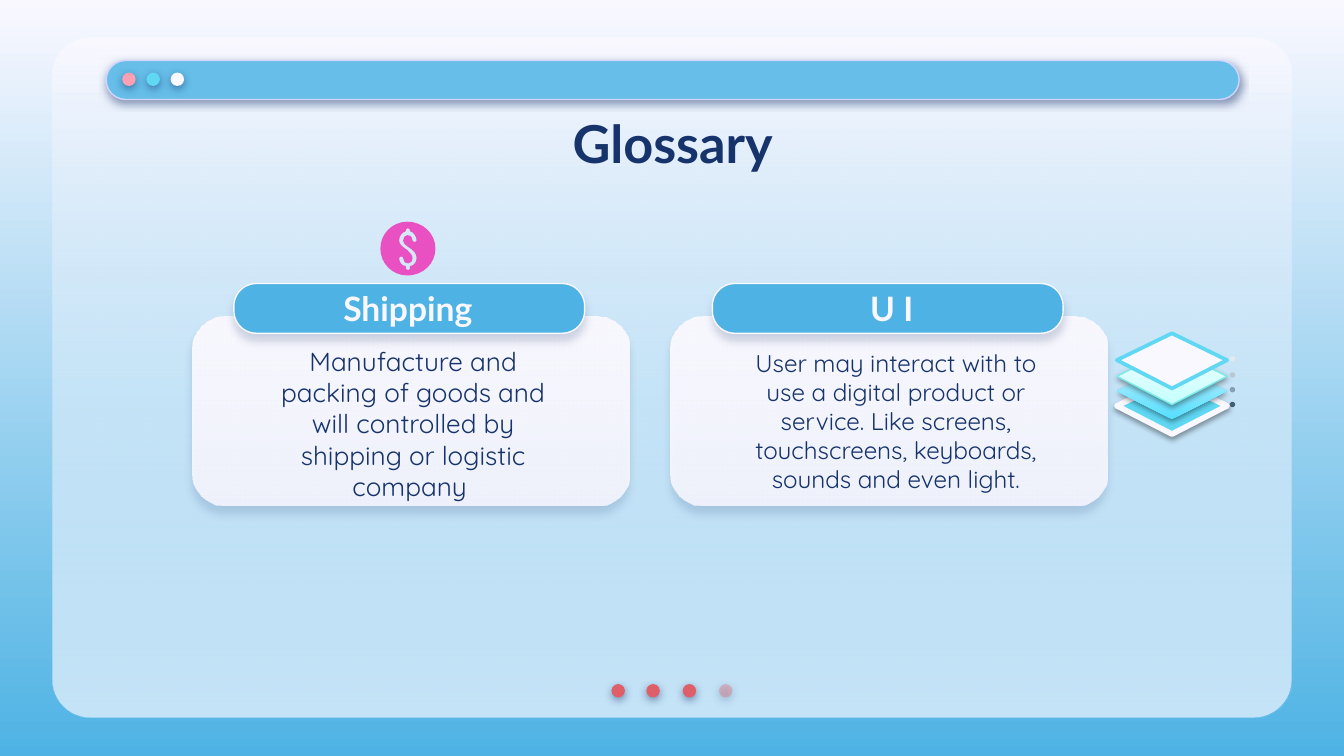
from lxml import etree
from pptx import Presentation
from pptx import util as u
from pptx.dml.color import RGBColor
from pptx.enum import shapes, text
from pptx.oxml.ns import qn

PX = 9144  # 100 px to the inch
NAVY = RGBColor(0x17, 0x33, 0x6B)
BLACK = RGBColor(0, 0, 0)
PAPER = RGBColor(0xF9, 0xF8, 0xFF)
BLUE = RGBColor(0x4E, 0xB3, 0xE4)
SKY = RGBColor(0x66, 0xBE, 0xE9)
LILAC = RGBColor(0xD2, 0xD6, 0xFF)
CYAN = RGBColor(0x60, 0xD8, 0xF4)
ROSE = RGBColor(0xFD, 0xA0, 0xB4)
RED = RGBColor(0xDF, 0x5F, 0x69)
PALE_RED = RGBColor(0xE2, 0x7B, 0x83)
PINK = RGBColor(0xE9, 0x51, 0xC2)
AQUA = RGBColor(0x55, 0xDF, 0xFF)
PALE_AQUA = RGBColor(0xC0, 0xEF, 0xFF)
MINT = RGBColor(0xC5, 0xFF, 0xFD)
PALE_MINT = RGBColor(0xEF, 0xFF, 0xFE)
TEAL = RGBColor(0x7B, 0xEB, 0xE8)
SLATES = [RGBColor(0x43, 0x5D, 0x74), RGBColor(0x86, 0x9F, 0xB2),
          RGBColor(0xBA, 0xC8, 0xD3), RGBColor(0xE3, 0xE9, 0xED)]

DOT_SHADOW = (NAVY, 50, 4.5, 1.5)
CARD_SHADOW = (NAVY, 16, 4.5, 4.5)
TAB_SHADOW = (NAVY, 18, 4.5, 3.8)
LAYER_SHADOW = (BLACK, 38, 3.1, 1.6)


def dress(shape, colors, alpha=100, angle=270, line=None, shadow=None):
    """Fill with one colour or a gradient; alpha (percent) is for the last colour."""
    if len(colors) == 1:
        shape.fill.solid()
        shape.fill.fore_color.rgb = colors[0]
    else:
        shape.fill.gradient()
        shape.fill.gradient_angle = angle
        for stop, color in zip(shape.fill.gradient_stops, colors):
            stop.color.rgb = color
    properties = shape._element.spPr
    if alpha < 100:
        last = properties.findall(".//" + qn("a:srgbClr"))[-1]
        etree.SubElement(last, qn("a:alpha"), val=str(alpha * 1000))
    if line:
        shape.line.color.rgb, shape.line.width = line[0], u.Pt(line[1])
    else:
        shape.line.fill.background()
    shape.shadow.inherit = False
    if shadow:
        color, opacity, blur, distance = shadow
        outer = etree.SubElement(
            properties.find(qn("a:effectLst")), qn("a:outerShdw"),
            blurRad=str(u.Pt(blur)), dist=str(u.Pt(distance)),
            dir="5400000", algn="bl", rotWithShape="0")
        tint = etree.SubElement(outer, qn("a:srgbClr"), val=str(color))
        etree.SubElement(tint, qn("a:alpha"), val=str(opacity * 1000))


def add_preset(kind, frame, corner=None):
    shape = page.shapes.add_shape(kind, *(n * PX for n in frame))
    if corner is not None:
        shape.adjustments[0] = corner
    return shape


deck = Presentation()
deck.slide_width, deck.slide_height = 1000 * PX, u.Inches(5.625)
page = deck.slides.add_slide(deck.slide_layouts[6])
ROUND = shapes.MSO_SHAPE.ROUNDED_RECTANGLE
OVAL = shapes.MSO_SHAPE.OVAL

backdrop = page.background.fill
backdrop.gradient()
backdrop.gradient_angle = 270
for stop, color in zip(backdrop.gradient_stops, (PAPER, BLUE)):
    stop.color.rgb = color

# Window panel, its bar and both rows of dots
for colors, alpha in (([PAPER], 100), ([PAPER, SKY], 35)):
    dress(add_preset(ROUND, (39, 28, 922, 506), 0.056), colors, alpha)
for i, (color, alpha) in enumerate([(RED, 100)] * 3 + [(PALE_RED, 44)]):
    dress(add_preset(OVAL, (455 + 80 * i // 3, 509, 10, 10)), [color], alpha,
          shadow=DOT_SHADOW)
dress(add_preset(ROUND, (79, 45, 843, 29), 0.5), [SKY],
      line=(LILAC, 0.75), shadow=DOT_SHADOW)
for i, color in enumerate((ROSE, CYAN, PAPER)):
    dress(add_preset(OVAL, (91 + 18 * i, 54, 10, 10)), [color], shadow=DOT_SHADOW)

# Cards with a tab on top
for left in (143, 499):
    dress(add_preset(ROUND, (left, 236, 325, 140), 0.17), [PAPER, PAPER], 87,
          shadow=CARD_SHADOW)
    dress(add_preset(ROUND, (left + 31, 211, 261, 37), 0.45), [BLUE],
          line=(PAPER, 0.75), shadow=TAB_SHADOW)

# Wording: frame, side inset, text, font
TITLE = {"name": "Lato", "size": u.Pt(28), "bold": True}
HEADING = {"name": "Lato", "size": u.Pt(18), "bold": True}
BODY = {"name": "Quicksand", "size": u.Pt(14)}
SMALL_BODY = {"name": "Quicksand", "size": u.Pt(13)}
for frame, inset, words, font, color in (
    ((79, 75, 843, 63), 10, "Glossary", TITLE, NAVY),
    ((180, 215, 247, 29), 0, "Shipping", HEADING, PAPER),
    ((184, 274, 247, 82), 10, "Manufacture and packing of goods and will "
     "controlled by shipping or logistic company ", BODY, NAVY),
    ((540, 215, 247, 29), 0, "U I", HEADING, PAPER),
    ((543, 272, 247, 82), 10, "User may interact with to use a digital product or "
     "service. Like screens, touchscreens, keyboards, sounds and even light.",
     SMALL_BODY, NAVY),
):
    box = page.shapes.add_textbox(*(n * PX for n in frame)).text_frame
    layout = {"word_wrap": True, "vertical_anchor": text.MSO_ANCHOR.MIDDLE,
              "margin_left": inset * PX, "margin_right": inset * PX,
              "margin_top": 10 * PX, "margin_bottom": 10 * PX}
    for name, value in layout.items():
        setattr(box, name, value)
    para = box.paragraphs[0]
    para.alignment = text.PP_ALIGN.CENTER
    span = para.add_run()
    span.text = words
    for name, value in font.items():
        setattr(span.font, name, value)
    span.font.color.rgb = color

# Coin with the dollar sign cut out: a start, then lines (2) or Bezier curves (6)
DOLLAR = [(303, 170), (304, 170, 305, 170, 305, 171), (305, 172),
          (308, 173, 310, 176, 310, 179), (310, 180, 309, 180, 309, 180),
          (308, 180, 307, 180, 307, 179), (307, 177, 306, 175, 303, 175),
          (301, 175, 300, 177, 300, 179), (300, 181, 302, 183, 304, 184),
          (307, 186, 310, 188, 310, 192), (310, 195, 308, 198, 305, 198),
          (305, 200), (305, 201, 304, 201, 304, 201),
          (303, 201, 302, 200, 302, 200), (302, 198),
          (299, 198, 297, 195, 297, 192), (297, 191, 298, 191, 298, 191),
          (299, 191, 300, 191, 300, 192), (300, 194, 301, 196, 304, 196),
          (306, 196, 307, 194, 307, 192), (307, 190, 305, 188, 303, 186),
          (300, 184, 297, 182, 297, 179), (297, 176, 299, 173, 302, 172),
          (302, 171), (302, 170, 303, 170, 303, 170)]
RIM = [(303, 165), (292, 165, 283, 174, 283, 185), (283, 196, 292, 205, 303, 205),
       (315, 205, 324, 196, 324, 185), (324, 174, 315, 165, 303, 165)]
builder = page.shapes.build_freeform(*DOLLAR[0], scale=PX)
for outline in (DOLLAR, RIM):
    if outline is RIM:
        builder.move_to(*RIM[0])
    nodes = [segment[i:i + 2] for segment in outline[1:]
             for i in range(0, len(segment), 2)]
    builder.add_line_segments(nodes, close=True)
coin = builder.convert_to_shape()
# Each run of three nodes that stands for a curve becomes one Bezier element
nodes = iter(coin._element.spPr.findall(".//" + qn("a:lnTo")))
for segment in DOLLAR[1:] + RIM[1:]:
    group = [next(nodes) for _ in range(len(segment) // 2)]
    if len(group) == 3:
        curve = etree.Element(qn("a:cubicBezTo"))
        group[0].addprevious(curve)
        for node in group:
            curve.append(node[0])
            node.getparent().remove(node)
dress(coin, [PINK])

# Stack of layers, lowest first, each with a dot beside it
LAYERS = [([CYAN], (PAPER, 3), LAYER_SHADOW),
          ([AQUA, PALE_AQUA], None, LAYER_SHADOW),
          ([MINT, PALE_MINT], (TEAL, 0.75), LAYER_SHADOW),
          ([PAPER], (CYAN, 2), None)]
for i, ((colors, line, shadow), slate) in enumerate(zip(LAYERS, SLATES)):
    top = 282 - 34 * i // 3
    layer = page.shapes.build_freeform(872, top, scale=PX)
    layer.add_line_segments([(831, top + 20), (872, top + 41), (913, top + 20)])
    dress(layer.convert_to_shape(), colors, angle=90, line=line, shadow=shadow)
    dress(add_preset(OVAL, (915, top + 17, 4, 4)), [slate])

deck.save("out.pptx")
